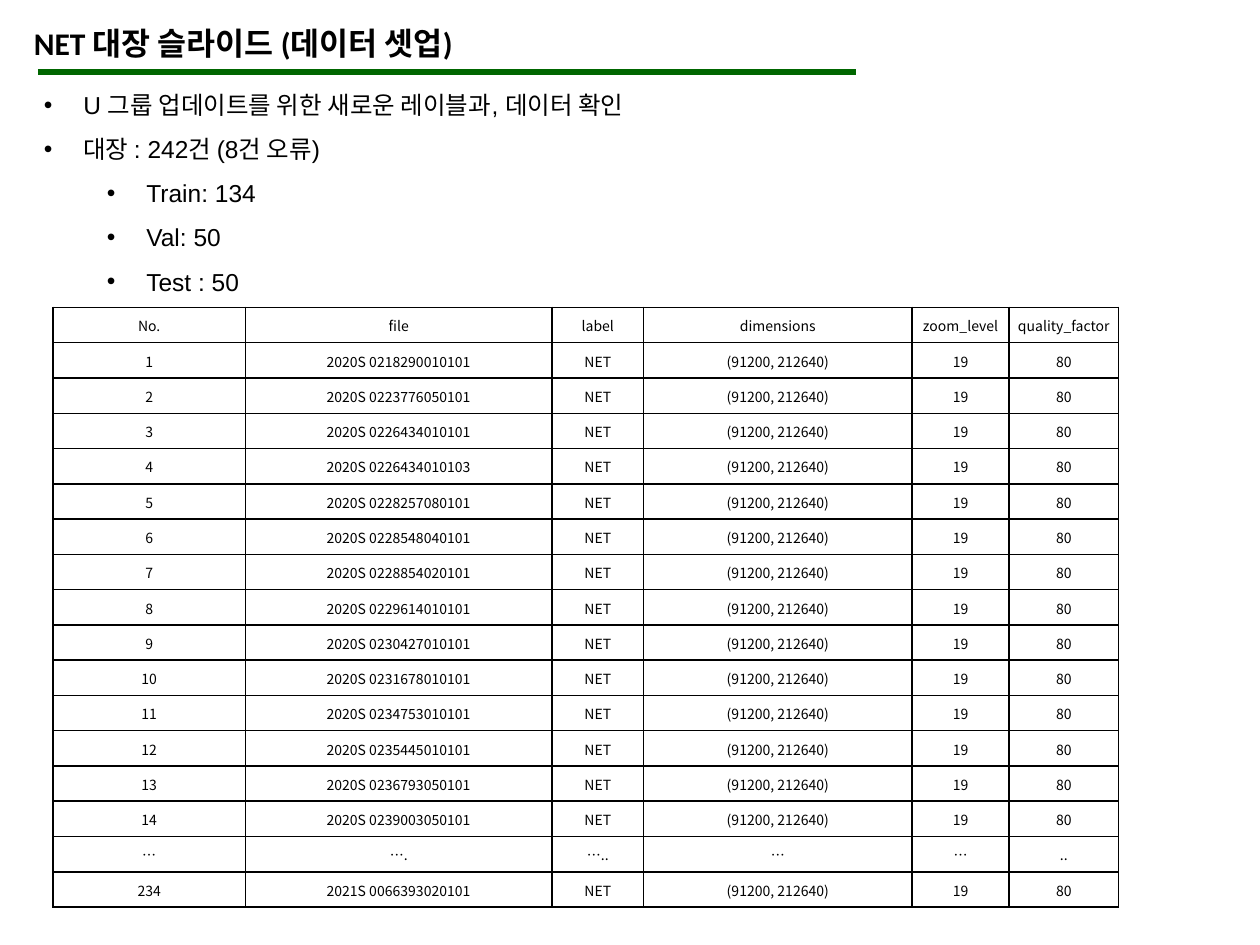
from lxml import etree
from pptx import Presentation
from pptx.dml.color import RGBColor
from pptx.enum.shapes import MSO_CONNECTOR
from pptx.enum.text import MSO_ANCHOR, MSO_AUTO_SIZE, PP_ALIGN
from pptx.oxml.ns import qn
from pptx.util import Pt

BLACK = RGBColor(0x00, 0x00, 0x00)
GREEN = RGBColor(0x00, 0x66, 0x00)
KOREAN_FONT = "Noto Sans CJK KR"

TITLE = "NET 대장 슬라이드 (데이터 셋업)"
SUMMARY = [
    (0, "U 그룹 업데이트를 위한 새로운 레이블과, 데이터 확인"),
    (0, "대장 : 242건 (8건 오류)"),
    (1, "Train: 134"),
    (1, "Val: 50"),
    (1, "Test : 50"),
]
HEADERS = ["No.", "file", "label", "dimensions", "zoom_level", "quality_factor"]
COLUMN_WIDTHS = [110.2, 175, 52.5, 153.4, 55.4, 62.6]
FIRST_FILES = [
    "2020S 0218290010101", "2020S 0223776050101", "2020S 0226434010101",
    "2020S 0226434010103", "2020S 0228257080101", "2020S 0228548040101",
    "2020S 0228854020101", "2020S 0229614010101", "2020S 0230427010101",
    "2020S 0231678010101", "2020S 0234753010101", "2020S 0235445010101",
    "2020S 0236793050101", "2020S 0239003050101",
]
LAST_FILE = "2021S 0066393020101"
OMITTED_ROW = ["…", "….", "…..", "…", "…", ".."]


def write(paragraph, text, *, font, size, bold=False, align=PP_ALIGN.LEFT,
          line_spacing=None, bullet_level=None):
    if bullet_level is not None:
        paragraph.level = bullet_level
        properties = paragraph._p.get_or_add_pPr()
        properties.set("marL", str(Pt(22.5 + 36 * bullet_level)))
        properties.set("indent", str(Pt(-22.5)))
        etree.SubElement(properties, qn("a:buFont"), typeface="Arial")
        etree.SubElement(properties, qn("a:buChar"), char="•")
    paragraph.alignment = align
    if line_spacing:
        paragraph.line_spacing = line_spacing
    run = paragraph.add_run()
    run.text = text
    run.font.name = font
    run.font.size = Pt(size)
    run.font.bold = bold
    run.font.color.rgb = BLACK
    etree.SubElement(run.font._element, qn("a:ea"), typeface=KOREAN_FONT)


def add_title(slide, left, top, width, height):
    """Fill the title placeholder and underline it with a green rule."""
    title = slide.shapes.title
    title.left, title.top = Pt(left), Pt(top)
    title.width, title.height = Pt(width), Pt(height)
    frame = title.text_frame
    frame.auto_size = MSO_AUTO_SIZE.NONE
    frame.vertical_anchor = MSO_ANCHOR.TOP
    write(frame.paragraphs[0], TITLE, font="Calibri", size=18, bold=True)

    rule_left, rule_top = left + 9.4, top + 31
    rule = slide.shapes.add_connector(
        MSO_CONNECTOR.STRAIGHT, Pt(rule_left), Pt(rule_top),
        Pt(rule_left + 467.3), Pt(rule_top))
    rule.line.color.rgb = GREEN
    rule.line.width = Pt(3)
    etree.SubElement(rule._element.spPr, qn("a:effectLst"))


def add_summary(slide, left, top, width, height):
    box = slide.shapes.add_textbox(Pt(left), Pt(top), Pt(width), Pt(height))
    frame = box.text_frame
    frame.word_wrap = True
    for index, (level, text) in enumerate(SUMMARY):
        paragraph = frame.add_paragraph() if index else frame.paragraphs[0]
        write(paragraph, text, font="Arial", size=14, line_spacing=1.5,
              bullet_level=level)


def add_borders(cell):
    properties = cell._tc.get_or_add_tcPr()
    for side in ("a:lnL", "a:lnR", "a:lnT", "a:lnB"):
        border = etree.SubElement(properties, qn(side), w=str(Pt(1)))
        fill = etree.SubElement(border, qn("a:solidFill"))
        etree.SubElement(fill, qn("a:srgbClr"), val=str(BLACK))


def data_row(number, file):
    return [str(number), file, "NET", "(91200, 212640)", "19", "80"]


def add_file_table(slide, left, top, height):
    rows = [HEADERS]
    rows += [data_row(number, file) for number, file in enumerate(FIRST_FILES, 1)]
    rows += [OMITTED_ROW, data_row(234, LAST_FILE)]

    table = slide.shapes.add_table(
        len(rows), len(HEADERS), Pt(left), Pt(top),
        Pt(sum(COLUMN_WIDTHS)), Pt(height)).table
    table.first_row = table.horz_banding = False
    for column, width in zip(table.columns, COLUMN_WIDTHS):
        column.width = Pt(width)
    for row, values in zip(table.rows, rows):
        row.height = Pt(height / len(rows))
        for cell, value in zip(row.cells, values):
            add_borders(cell)
            cell.fill.background()
            cell.vertical_anchor = MSO_ANCHOR.MIDDLE
            cell.margin_left = cell.margin_right = cell.margin_top = Pt(0.7)
            cell.margin_bottom = 0
            write(cell.text_frame.paragraphs[0], value, font=KOREAN_FONT,
                  size=8, align=PP_ALIGN.CENTER)


def main():
    presentation = Presentation()
    presentation.slide_width, presentation.slide_height = Pt(720), Pt(540)
    slide = presentation.slides.add_slide(presentation.slide_layouts[5])
    add_title(slide, left=12.2, top=10.1, width=424, height=29)
    add_summary(slide, left=18, top=39.6, width=684.7, height=134.6)
    add_file_table(slide, left=30.2, top=175.7, height=342.7)
    presentation.save("out.pptx")


if __name__ == "__main__":
    main()
